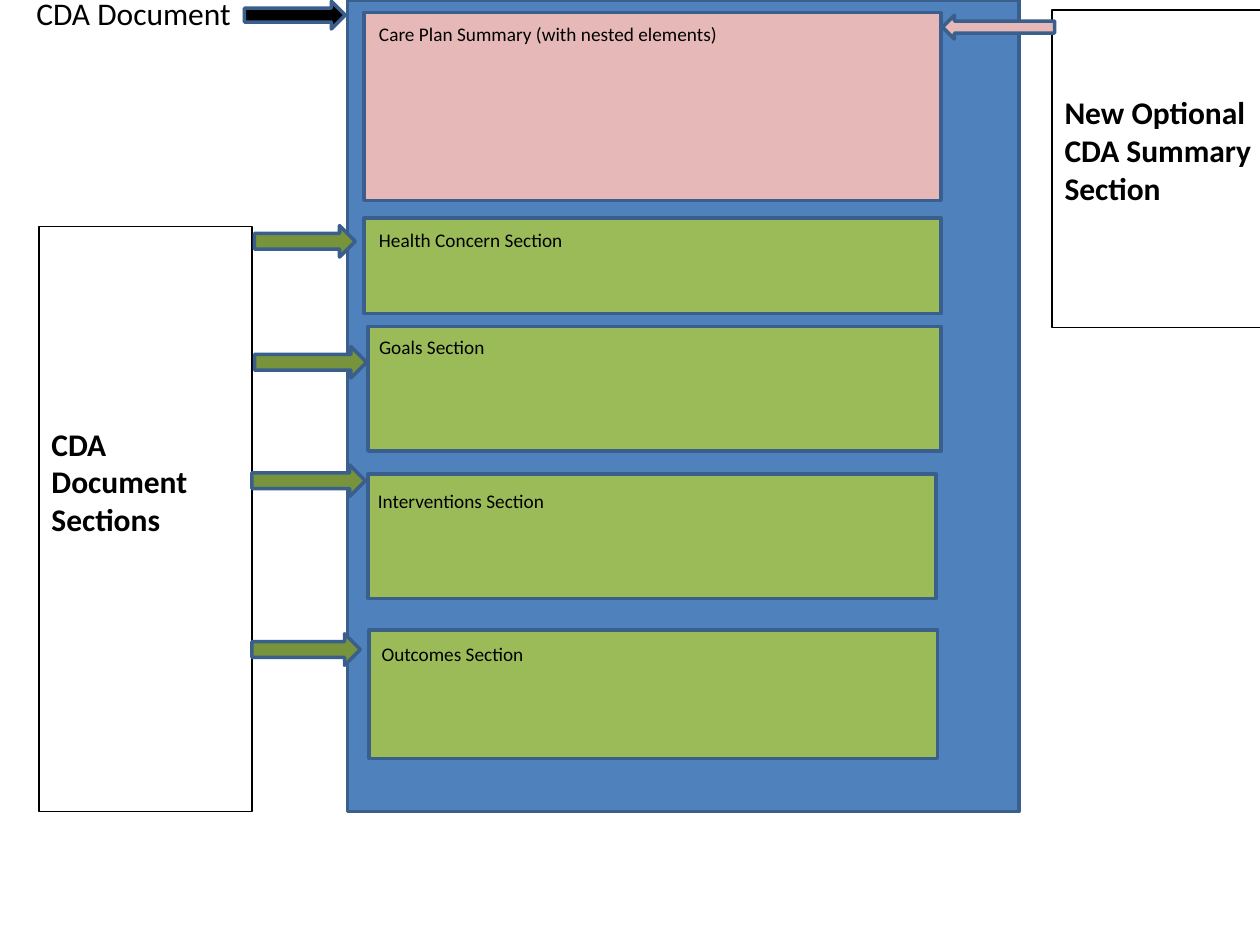
from pptx import Presentation
from pptx import util as u
from pptx.dml import color as dml
from pptx.enum import shapes, text

HUES = {
    "frame": "4F81BD",
    "edge": "3A5F8C",
    "green": "9BBB59",
    "olive": "77933C",
    "pink": "E6B9B8",
    "black": "000000",
}
KIND = shapes.MSO_SHAPE


def draw(kind, area, fill, edge="edge", width=2):
    shape = slide.shapes.add_shape(kind, *map(u.Inches, area))
    shape.shadow.inherit = False
    if fill:
        shape.fill.solid()
        shape.fill.fore_color.rgb = dml.RGBColor.from_string(HUES[fill])
    else:
        shape.fill.background()
    shape.line.color.rgb = dml.RGBColor.from_string(HUES[edge])
    shape.line.width = u.Pt(width)
    return shape


def write(shape, words, size, bold=False):
    frame = shape.text_frame
    frame.word_wrap = True
    frame.vertical_anchor = text.MSO_ANCHOR.TOP
    frame.text = words
    line = frame.paragraphs[0]
    line.alignment = text.PP_ALIGN.LEFT
    font = line.runs[0].font
    font.name = "Calibri"
    font.size = u.Pt(size)
    font.bold = bold
    font.color.rgb = dml.RGBColor.from_string(HUES["black"])


deck = Presentation()
deck.slide_width = u.Inches(10)
deck.slide_height = u.Inches(7.5)
slide = deck.slides.add_slide(deck.slide_layouts[6])

draw(KIND.RECTANGLE, (2.76, 0, 5.33, 6.44), "frame")

sides = [
    ("New Optional CDA Summary Section", (8.35, 0.08, 1.69, 2.52), 0.66),
    ("CDA Document Sections", (0.31, 1.8, 1.69, 4.64), 1.57),
]
for words, area, inset in sides:
    side = draw(KIND.RECTANGLE, area, None, "black", 0.75)
    write(side, words, 18, True)
    side.text_frame.margin_top = u.Inches(inset)

draw(KIND.LEFT_ARROW, (7.48, 0.12, 0.89, 0.19), "pink")

parts = [
    ("Care Plan Summary (with nested elements)", "pink", (2.89, 0.1, 4.58, 1.49), (2.91, 0.13, 3.53)),
    ("Health Concern Section", "green", (2.89, 1.73, 4.58, 0.76), (2.91, 1.76, 2.46)),
    ("Goals Section", "green", (2.92, 2.59, 4.55, 0.99), (2.91, 2.61, 2.48)),
    ("Interventions Section", "green", (2.92, 3.76, 4.51, 0.99), (2.9, 3.83, 2.46)),
    ("Outcomes Section", "green", (2.93, 5, 4.51, 1.02), (2.93, 5.05, 2.46)),
]
for words, fill, area, place in parts:
    draw(KIND.RECTANGLE, area, fill)
    label = slide.shapes.add_textbox(*map(u.Inches, (*place, 0.29)))
    write(label, words, 11)

head = slide.shapes.add_textbox(*map(u.Inches, (0.19, -0.1, 1.83, 0.4)))
write(head, "CDA Document", 18)
draw(KIND.RIGHT_ARROW, (1.94, 0.01, 0.8, 0.22), "black")

for left, top, width in [(2.02, 1.79, 0.8), (2.02, 2.75, 0.89), (2, 3.69, 0.9), (2, 5.03, 0.86)]:
    draw(KIND.RIGHT_ARROW, (left, top, width, 0.25), "olive")

deck.save("out.pptx")
